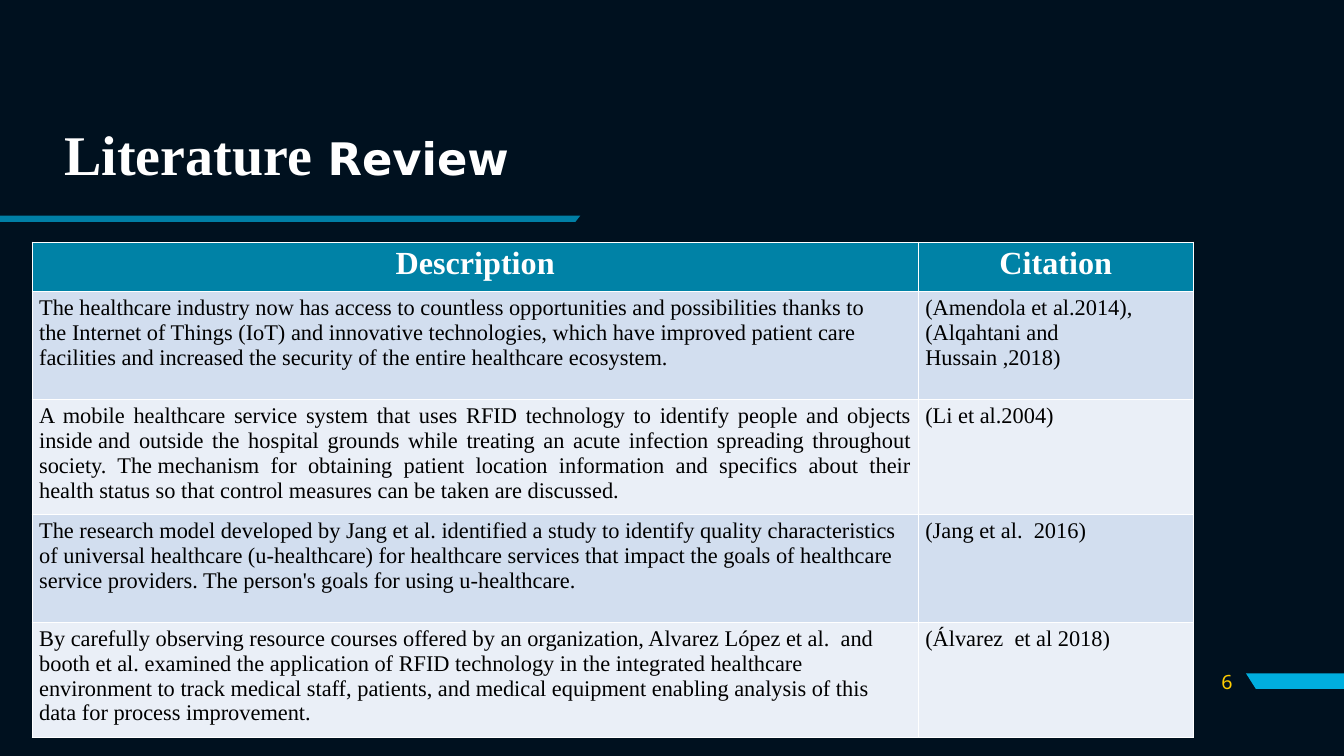
from lxml.etree import SubElement
from pptx import Presentation
from pptx.dml.color import RGBColor
from pptx.enum.text import MSO_ANCHOR, PP_ALIGN
from pptx.oxml.ns import qn
from pptx.util import Pt

NIGHT = RGBColor(0x00, 0x11, 0x1F)
CYAN = RGBColor(0x00, 0xAE, 0xDE)
TEAL = RGBColor(0x00, 0x82, 0xA6)
PALE_BLUE = RGBColor(0xD2, 0xDE, 0xEF)
PALE_GREY = RGBColor(0xEA, 0xEF, 0xF7)
YELLOW = RGBColor(0xFF, 0xCD, 0x00)
WHITE = RGBColor(0xFF, 0xFF, 0xFF)
BLACK = RGBColor(0x00, 0x00, 0x00)
SERIF = "Times New Roman"


def write(paragraph, text, size=16, font=SERIF, color=BLACK, bold=False, align=PP_ALIGN.LEFT):
    paragraph.alignment = align
    run = paragraph.add_run()
    run.text = text
    run.font.size = Pt(size)
    run.font.name = font
    run.font.color.rgb = color
    run.font.bold = bold


def add_text_area(left, top, width, height):
    frame = slide.shapes.add_textbox(Pt(left), Pt(top), Pt(width), Pt(height)).text_frame
    frame.word_wrap = True
    frame.vertical_anchor = MSO_ANCHOR.MIDDLE
    return frame.paragraphs[0]


deck = Presentation()
deck.slide_width, deck.slide_height = Pt(960), Pt(540)
slide = deck.slides.add_slide(deck.slide_layouts[6])
slide.background.fill.solid()
slide.background.fill.fore_color.rgb = NIGHT

page_accent = [(960, 481), (960, 492), (897, 492), (890, 481)]
title_rule = [(0, 154), (0, 158.5), (411, 158.5), (414.5, 154)]
for corners, opacity in ((page_accent, 100), (title_rule, 70)):
    points = [(Pt(x), Pt(y)) for x, y in corners]
    outline = slide.shapes.build_freeform(*points[0])
    outline.add_line_segments(points[1:], close=True)
    band = outline.convert_to_shape()
    band.shadow.inherit = False
    band.line.fill.background()
    band.fill.solid()
    band.fill.fore_color.rgb = CYAN
    if opacity < 100:
        tint = band.fill._xPr.find(qn("a:solidFill"))[0]
        SubElement(tint, qn("a:alpha"), val=str(opacity * 1000))

page_number = add_text_area(844.5, 472.5, 43, 29)
write(page_number, "6", size=14, font="Noto Sans", color=YELLOW, align=PP_ALIGN.RIGHT)

title = add_text_area(39, 81.5, 418, 62)
title.line_spacing = 0.9
write(title, "Literature", size=40, color=WHITE, bold=True)
write(title, " Review", size=32, font="DejaVu Sans", color=WHITE, bold=True)

reviews = [
    ("Description", "Citation"),
    ("The healthcare industry now has access to countless opportunities and possibilities "
     "thanks to the\u00a0Internet of Things (IoT) and innovative technologies, which have "
     "improved patient care facilities\u00a0and increased the security of the entire "
     "healthcare ecosystem.\u00a0",
     "(Amendola et al.2014),(Alqahtani and Hussain\u00a0,2018)"),
    ("A mobile healthcare service system that uses RFID technology to identify people and "
     "objects inside\u00a0and outside the hospital grounds while treating an acute infection "
     "spreading throughout society. The\u00a0mechanism for obtaining patient location "
     "information and specifics about their health status so that\u00a0control measures can "
     "be taken are discussed.",
     "(Li et al.2004)"),
    ("The research model developed by Jang et al. identified a study to identify quality "
     "characteristics of\u00a0universal healthcare (u-healthcare) for healthcare services "
     "that impact the goals of healthcare service\u00a0providers. The person's goals for "
     "using u-healthcare.",
     "(Jang et al. \u00a02016)"),
    ("By carefully observing resource courses offered by an organization, Alvarez López et "
     "al.\u00a0 and booth\u00a0et al. examined the application of RFID technology in the "
     "integrated healthcare environment to track\u00a0medical staff, patients, and medical "
     "equipment enabling analysis of this data for process\u00a0improvement.\u00a0",
     "(Álvarez\u00a0 et al 2018)"),
]
column_widths = (633, 196.5)
row_heights = (35.5, 77, 77, 77, 77)
table = slide.shapes.add_table(len(reviews), len(column_widths), Pt(23), Pt(173),
                               Pt(sum(column_widths)), Pt(sum(row_heights))).table
for column, width in zip(table.columns, column_widths):
    column.width = Pt(width)
for row, height in zip(table.rows, row_heights):
    row.height = Pt(height)

for r, review in enumerate(reviews):
    for c, text in enumerate(review):
        cell = table.cell(r, c)
        cell.margin_left = cell.margin_right = Pt(5)
        cell.margin_top = cell.margin_bottom = Pt(2.7)
        for side in ("a:lnL", "a:lnR", "a:lnT", "a:lnB"):
            border = SubElement(cell._tc.get_or_add_tcPr(), qn(side), w=str(Pt(1)))
            SubElement(SubElement(border, qn("a:solidFill")), qn("a:srgbClr"), val=str(WHITE))
        cell.fill.solid()
        paragraph = cell.text_frame.paragraphs[0]
        if r == 0:
            cell.fill.fore_color.rgb = TEAL
            write(paragraph, text, size=23, color=WHITE, bold=True, align=PP_ALIGN.CENTER)
        else:
            cell.fill.fore_color.rgb = PALE_BLUE if r % 2 else PALE_GREY
            justified = (r, c) == (2, 0)
            write(paragraph, text, align=PP_ALIGN.JUSTIFY if justified else PP_ALIGN.LEFT)

deck.save("out.pptx")
